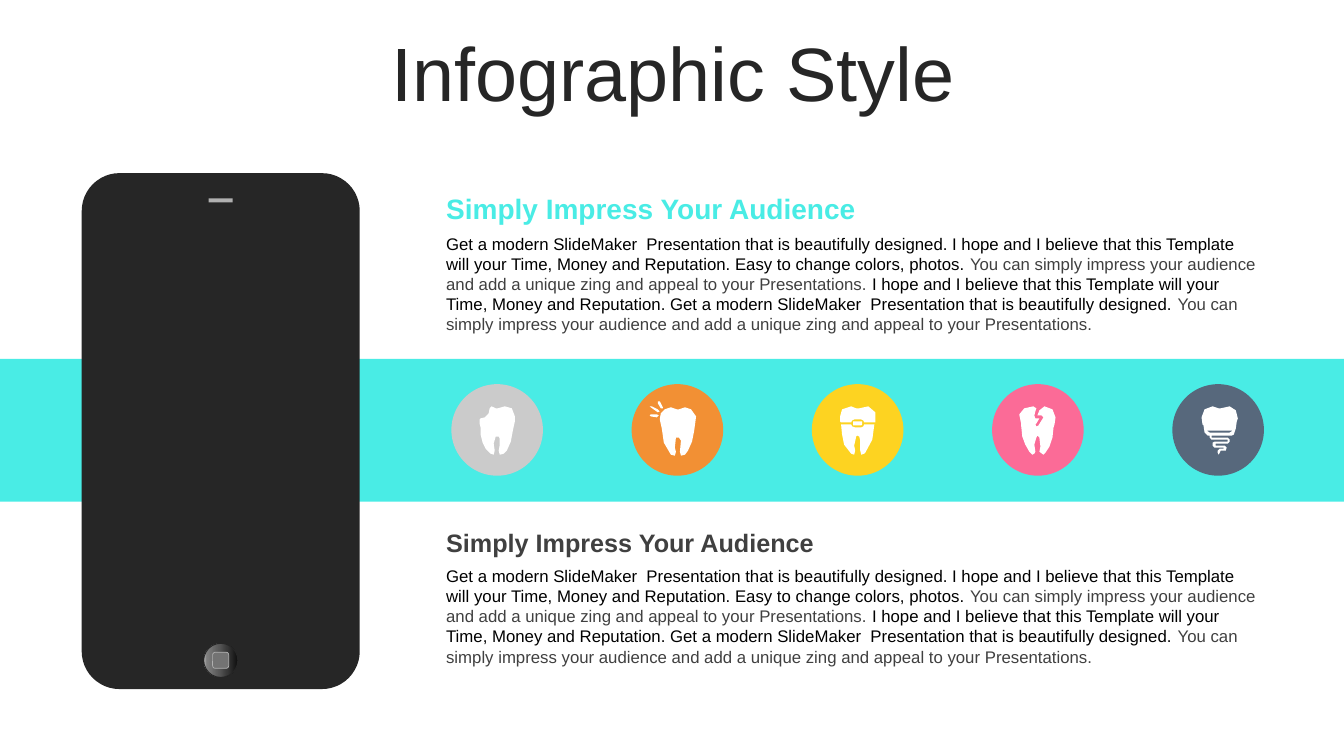
from lxml import etree
from pptx import Presentation
from pptx.dml.color import RGBColor
from pptx.enum.shapes import MSO_SHAPE
from pptx.enum.text import MSO_ANCHOR, PP_ALIGN
from pptx.oxml.ns import qn
from pptx.util import Pt

RECT = MSO_SHAPE.RECTANGLE
ROUNDED = MSO_SHAPE.ROUNDED_RECTANGLE
OVAL = MSO_SHAPE.OVAL
MIDDLE, TOP = MSO_ANCHOR.MIDDLE, MSO_ANCHOR.TOP
CENTER, LEFT = PP_ALIGN.CENTER, PP_ALIGN.LEFT

TURQUOISE, CHARCOAL, GRAY, SILVER = "49ECE5", "262626", "404040", "B0B0B0"
WHITE, BLACK = "FFFFFF", "000000"

prs = Presentation()
prs.slide_width, prs.slide_height = Pt(960), Pt(540)
slide = prs.slides.add_slide(prs.slide_layouts[6])
rgb = RGBColor.from_string


def add_text(box, runs, size, bold=False, align=LEFT, anchor=TOP, spacing=1.0):
    """Add a one-paragraph text box; box is (left, top, width, height), runs are (text, colour)."""
    frame = slide.shapes.add_textbox(*map(Pt, box)).text_frame
    frame.word_wrap = True
    frame.vertical_anchor = anchor
    paragraph = frame.paragraphs[0]
    paragraph.alignment = align
    paragraph.line_spacing = spacing
    for text, color in runs:
        run = paragraph.add_run()
        run.text = text
        run.font.name = "Arial"
        run.font.size = Pt(size)
        run.font.bold = bold
        run.font.color.rgb = rgb(color)


def paint(shape, fill):
    """Give a shape a plain fill, no outline and no shadow."""
    shape.shadow.inherit = False
    shape.fill.solid()
    shape.fill.fore_color.rgb = rgb(fill)
    shape.line.fill.background()
    return shape


# Band and phone
paint(slide.shapes.add_shape(RECT, 0, Pt(256.3), Pt(960), Pt(102)), TURQUOISE)
phone = paint(slide.shapes.add_shape(ROUNDED, Pt(58.4), Pt(123.7), Pt(198.6), Pt(368.5)), CHARCOAL)
phone.adjustments[0] = 0.136
paint(slide.shapes.add_shape(RECT, Pt(149), Pt(141.8), Pt(17.3), Pt(2.9)), SILVER)

home_button = slide.shapes.add_shape(OVAL, Pt(145.5), Pt(459.5), Pt(24.4), Pt(24.4))
home_button.shadow.inherit = False
home_button.fill.gradient()
home_button.fill.gradient_angle = 180
stop_list = home_button.fill.gradient_stops[0]._gs.getparent()
for stop in list(stop_list):
    stop_list.remove(stop)
for percent, color in [(0, "0F0F0F"), (56, "595959"), (91, "808080"), (100, "BFBFBF")]:
    stop = etree.SubElement(stop_list, qn("a:gs"), pos=str(percent * 1000))
    etree.SubElement(stop, qn("a:srgbClr"), val=color)
home_button.line.color.rgb = rgb(CHARCOAL)
home_button.line.width = Pt(0)

home_symbol = paint(slide.shapes.add_shape(ROUNDED, Pt(151.9), Pt(465.9), Pt(11.5), Pt(11.5)), "737373")
home_symbol.line.color.rgb = rgb(SILVER)
home_symbol.line.width = Pt(0.5)

# Texts
add_text((25.2, 26.6, 911.5, 56.9), [("Infographic Style", CHARCOAL)], 54,
         align=CENTER, anchor=MIDDLE, spacing=0.9)

heading = "Simply Impress Your Audience"
modern = "Get a modern SlideMaker  Presentation that is beautifully designed. "
hope = "I hope and I believe that this Template will your Time, Money and Reputation. "
impress = "You can simply impress your audience and add a unique zing and appeal to your Presentations."
body = [
    (modern + hope + "Easy to change colors, photos. ", BLACK),
    (impress + " ", GRAY),
    (hope + modern, BLACK),
    (impress, GRAY),
]
for heading_top, body_top, size, color in [(133.2, 163.3, 20, TURQUOISE), (373, 400.5, 18, GRAY)]:
    add_text((311.6, heading_top, 597.6, 30), [(heading, color)], size, bold=True)
    add_text((311.6, body_top, 597.6, 80), body, 12)

# Tooth outlines, in steps of 0.72 pt from the corner of their circle
chipped = [
    [(63, 32), (63, 37), (61, 46), (59, 57), (55, 66), (52, 69), (48, 70), (47, 66),
     (48, 60), (48, 54), (47, 52), (44, 52), (42, 59), (43, 66), (42, 70), (39, 69),
     (34, 64), (31, 58), (29, 50), (29, 43), (28, 39), (28, 35), (29, 34), (33, 33),
     (37, 29), (38, 24), (40, 22), (44, 24), (46, 24), (53, 22), (60, 24)],
]
aching = [
    [(39, 23), (45, 25), (47, 25), (53, 23), (59, 25), (64, 32), (63, 40), (62, 47),
     (60, 57), (56, 66), (53, 70), (49, 71), (48, 67), (49, 56), (47, 53), (44, 53),
     (43, 63), (44, 67), (43, 71), (39, 70), (32, 58), (30, 44), (28, 35), (29, 29),
     (33, 25)],
    [(19, 30), (25, 30), (27, 31), (25, 33), (19, 32), (18, 31)],
    [(20, 22), (26, 25), (28, 27), (26, 28), (19, 23), (18, 22)],
    [(27, 17), (28, 17), (31, 23), (31, 24), (29, 24), (26, 19), (26, 17)],
]
braced = [
    [(52, 40), (62, 40), (60, 55), (53, 68), (52, 69), (49, 70), (48, 66), (48, 56),
     (47, 52), (45, 51), (44, 52), (42, 61), (43, 66), (42, 70), (39, 69), (32, 60),
     (30, 50), (29, 40), (39, 40), (40, 42), (43, 43), (49, 43), (51, 42)],
    [(41, 37), (50, 37), (50, 40), (49, 41), (41, 41)],
    [(39, 22), (44, 24), (47, 24), (56, 22), (63, 28), (63, 38), (52, 38), (51, 36),
     (49, 35), (42, 35), (40, 36), (39, 38), (29, 38), (28, 37), (28, 32), (30, 25)],
]
cracked = [
    [(47, 34), (44, 39), (43, 40), (44, 42), (46, 41), (51, 33), (49, 31), (45, 31),
     (47, 26), (52, 22), (60, 25), (63, 33), (62, 40), (61, 43), (60, 53), (57, 62),
     (53, 68), (51, 70), (47, 67), (48, 62), (47, 53), (45, 51), (44, 53), (42, 60),
     (43, 67), (42, 69), (40, 70), (37, 67), (33, 60), (30, 52), (29, 42), (29, 40),
     (27, 30), (32, 24), (41, 22), (44, 24), (43, 27), (42, 31), (43, 34)],
]
implant = [
    [(39, 51), (39, 53), (55, 53), (57, 55), (57, 57), (55, 59), (43, 59), (43, 61),
     (52, 61), (54, 63), (53, 66), (48, 66), (47, 68), (46, 70), (45, 68), (45, 66),
     (47, 64), (51, 64), (51, 63), (42, 63), (40, 61), (40, 58), (42, 57), (55, 57),
     (55, 55), (39, 55), (37, 53), (37, 51), (35, 51), (32, 48), (31, 41), (30, 40),
     (29, 33), (32, 25), (40, 22), (46, 24), (48, 24), (57, 22), (63, 26), (65, 34),
     (64, 37), (63, 44), (61, 50), (59, 51)],
    [(60, 46), (34, 46), (37, 48), (57, 48)],
]

teeth = [(chipped, "CBCBCB"), (aching, "F29034"), (braced, "FDD321"),
         (cracked, "FB6B97"), (implant, "57687C")]
for column, (outlines, color) in enumerate(teeth):
    left, top = Pt(322.4 + 128.75 * column), Pt(274.4)
    paint(slide.shapes.add_shape(OVAL, left, top, Pt(65.4), Pt(65.4)), color)
    tooth = slide.shapes.build_freeform(*outlines[0][0], scale=Pt(0.72))
    tooth.add_line_segments(outlines[0][1:], close=True)
    for outline in outlines[1:]:
        tooth.move_to(*outline[0])
        tooth.add_line_segments(outline[1:], close=True)
    paint(tooth.convert_to_shape(left, top), WHITE)

prs.save("out.pptx")
